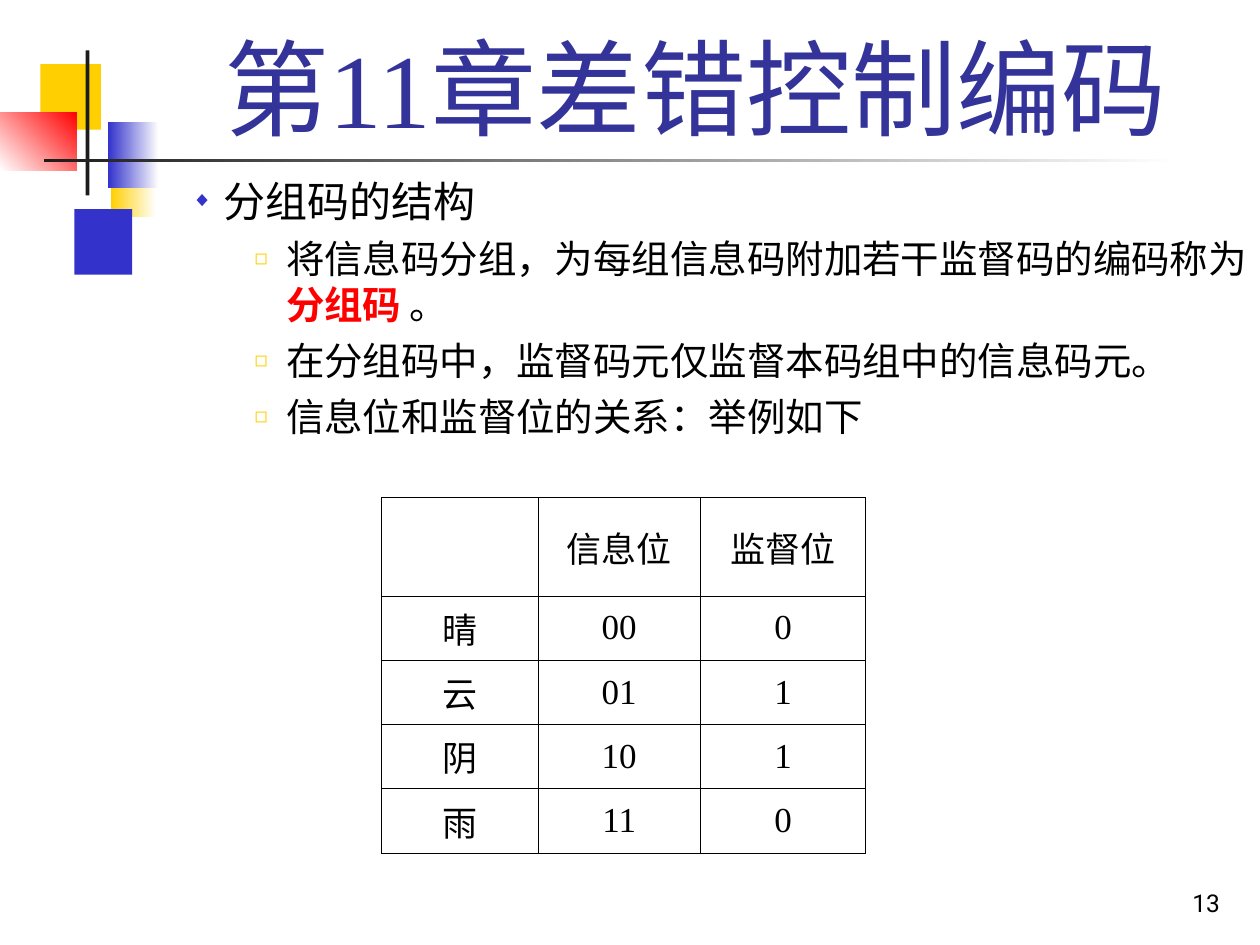
from lxml import etree
from pptx import Presentation
from pptx.dml.color import RGBColor
from pptx.enum.shapes import MSO_SHAPE
from pptx.enum.text import MSO_ANCHOR, MSO_AUTO_SIZE, PP_ALIGN
from pptx.oxml.ns import qn
from pptx.util import Inches, Pt

RECTANGLE = MSO_SHAPE.RECTANGLE
CENTER, RIGHT = PP_ALIGN.CENTER, PP_ALIGN.RIGHT
MIDDLE, BOTTOM = MSO_ANCHOR.MIDDLE, MSO_ANCHOR.BOTTOM
NO_AUTOFIT = MSO_AUTO_SIZE.NONE

BLACK = RGBColor(0, 0, 0)
WHITE = RGBColor(0xFF, 0xFF, 0xFF)
CHARCOAL = RGBColor(0x1C, 0x1C, 0x1C)
YELLOW = RGBColor(0xFF, 0xCF, 0x01)
BLUE = RGBColor(0x33, 0x33, 0xCC)
NAVY = RGBColor(0x33, 0x33, 0x99)
RED = RGBColor(0xFF, 0, 0)
SERIF, SANS = "Times New Roman", "Roboto"

TITLE = "第11章差错控制编码"
# level, runs as (text, colour, bold)
POINTS = [
    (2, [("分组码的结构", BLACK, False)]),
    (3, [("将信息码分组，为每组信息码附加若干监督码的编码称为", BLACK, False),
         ("分组码", RED, True),
         (" 。", BLACK, False)]),
    (3, [("在分组码中，监督码元仅监督本码组中的信息码元。", BLACK, False)]),
    (3, [("信息位和监督位的关系：举例如下", BLACK, False)]),
]
# size, space before, left margin, bullet, bullet colour, bullet percent
LEVELS = {
    2: (24, 6, 1.25, "◆", BLUE, 50),
    3: (22, 5.5, 1.75, "◻", YELLOW, 55),
}
HANGING = 0.25
WEATHER_CODES = [
    ("", "信息位", "监督位"),
    ("晴", "00", "0"),
    ("云", "01", "1"),
    ("阴", "10", "1"),
    ("雨", "11", "0"),
]
COLUMN_WIDTHS = [1.24, 1.29, 1.31]
HEADER_HEIGHT, ROW_HEIGHT = 0.78, 0.51
PAGE_NUMBER = "13"

# box, colours (two make a gradient), counter-clockwise gradient angle
DECORATION = [
    ((0.88, 1.2, 0.36, 0.52), (WHITE, YELLOW), 180),
    ((0.59, 1.66, 0.46, 0.52), (BLUE,), None),
    ((0.32, 0.51, 0.48, 0.52), (YELLOW,), None),
    ((0.86, 0.97, 0.4, 0.52), (WHITE, BLUE), 180),
    ((0, 0.89, 0.61, 0.46), (RED, WHITE), 225),
    ((0.68, 0.4, 0.03, 1.15), (CHARCOAL,), None),
    ((0.35, 1.26, 9, 0.03), (WHITE, CHARCOAL), 180),
]


def add_run(paragraph, text, size, color=BLACK, font=SERIF, bold=False):
    run = paragraph.add_run()
    run.text = text
    run.font.size = Pt(size)
    run.font.name = font
    run.font.bold = bold
    run.font.color.rgb = color


def place(shape, left, top, width, height):
    shape.left, shape.top = Inches(left), Inches(top)
    shape.width, shape.height = Inches(width), Inches(height)


def add_decoration(slide, box, colors, angle):
    block = slide.shapes.add_shape(RECTANGLE, *map(Inches, box))
    block.shadow.inherit = False
    block.line.fill.background()
    if angle is None:
        block.fill.solid()
        block.fill.fore_color.rgb = colors[0]
        return
    block.fill.gradient()
    block.fill.gradient_angle = angle
    for stop, color in zip(block.fill.gradient_stops, colors):
        stop.color.rgb = color


def set_bullet(paragraph, margin, char, color, percent):
    props = paragraph._p.get_or_add_pPr()
    props.set("marL", str(Inches(margin)))
    props.set("indent", str(-Inches(HANGING)))
    bullet_color = etree.SubElement(props, qn("a:buClr"))
    etree.SubElement(bullet_color, qn("a:srgbClr"), val=str(color))
    etree.SubElement(props, qn("a:buSzPct"), val=str(percent * 1000))
    etree.SubElement(props, qn("a:buChar"), char=char)


def set_borders(cell):
    props = cell._tc.get_or_add_tcPr()
    for index, side in enumerate(("lnL", "lnR", "lnT", "lnB")):
        line = etree.Element(qn(f"a:{side}"), w=str(Pt(0.45)))
        fill = etree.SubElement(line, qn("a:solidFill"))
        etree.SubElement(fill, qn("a:srgbClr"), val=str(BLACK))
        props.insert(index, line)


def fill_title(title):
    place(title, 1.26, 0.23, 8.52, 1.01)
    frame = title.text_frame
    frame.auto_size = NO_AUTOFIT
    frame.vertical_anchor = BOTTOM
    frame.paragraphs[0].alignment = CENTER
    add_run(frame.paragraphs[0], TITLE, 60, NAVY)


def fill_body(body):
    place(body, 0.42, 1.34, 9.58, 6.16)
    frame = body.text_frame
    frame.auto_size = NO_AUTOFIT
    for index, (level, runs) in enumerate(POINTS):
        size, space, margin, char, color, percent = LEVELS[level]
        point = frame.add_paragraph() if index else frame.paragraphs[0]
        point.level = level
        point.space_before = Pt(space)
        set_bullet(point, margin, char, color, percent)
        for text, text_color, bold in runs:
            add_run(point, text, size, text_color, bold=bold)


def add_code_table(slide):
    heights = [HEADER_HEIGHT] + [ROW_HEIGHT] * (len(WEATHER_CODES) - 1)
    table = slide.shapes.add_table(
        len(heights), len(COLUMN_WIDTHS), Inches(3.03), Inches(3.95),
        Inches(sum(COLUMN_WIDTHS)), Inches(sum(heights))).table
    table.first_row = table.horz_banding = False
    for column, width in zip(table.columns, COLUMN_WIDTHS):
        column.width = Inches(width)
    for row, height, texts in zip(table.rows, heights, WEATHER_CODES):
        row.height = Inches(height)
        for cell, text in zip(row.cells, texts):
            cell.fill.background()
            set_borders(cell)
            cell.vertical_anchor = MIDDLE
            if text:
                paragraph = cell.text_frame.paragraphs[0]
                paragraph.alignment = CENTER
                add_run(paragraph, text, 20)


def add_page_number(slide):
    box = slide.shapes.add_textbox(*map(Inches, (7.7, 6.83, 2.08, 0.5)))
    frame = box.text_frame
    frame.word_wrap = True
    frame.vertical_anchor = BOTTOM
    frame.paragraphs[0].alignment = RIGHT
    add_run(frame.paragraphs[0], PAGE_NUMBER, 14, font=SANS)


def main():
    deck = Presentation()
    deck.slide_width, deck.slide_height = Inches(10), Inches(7.5)
    slide = deck.slides.add_slide(deck.slide_layouts[1])
    title, body = slide.placeholders
    for block in DECORATION:
        add_decoration(slide, *block)
    for placeholder in (title, body):  # bring in front of the decoration
        slide.shapes.element.append(placeholder.element)
    fill_title(title)
    fill_body(body)
    add_code_table(slide)
    add_page_number(slide)
    deck.save("out.pptx")


if __name__ == "__main__":
    main()
